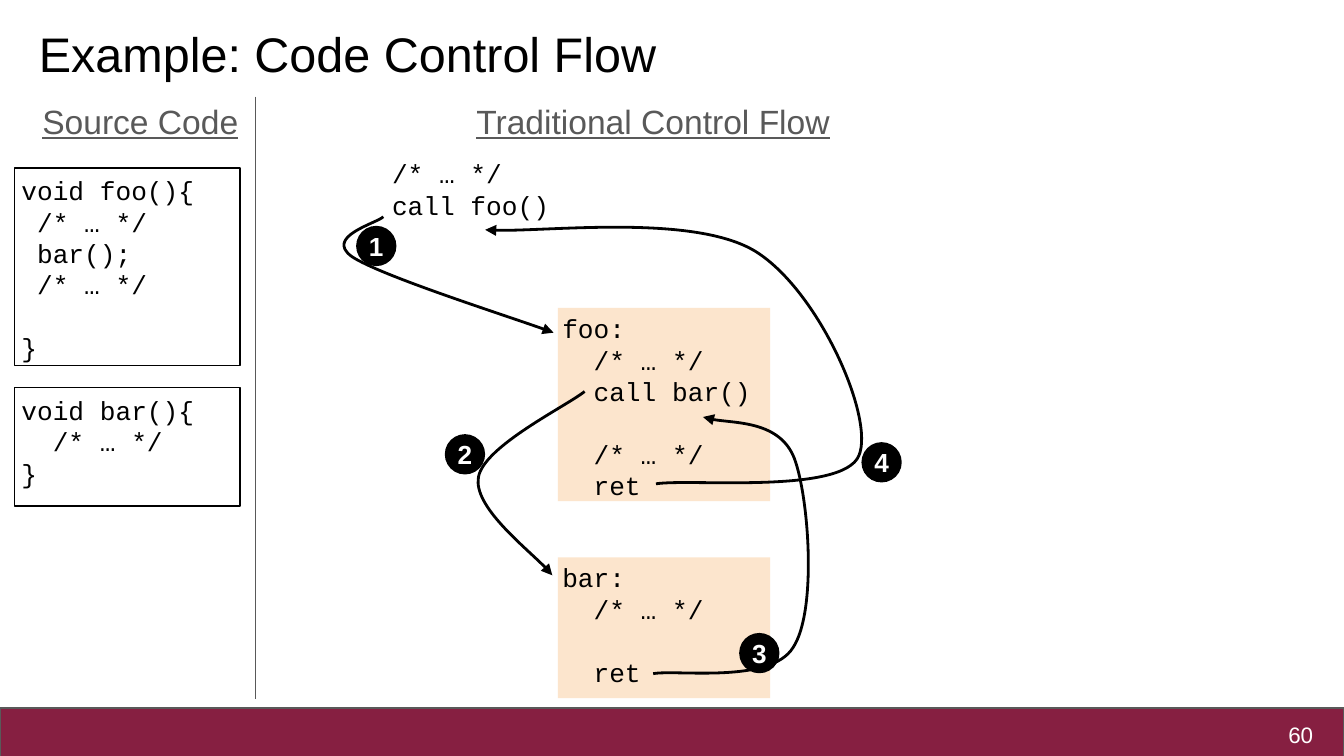
from dataclasses import dataclass

import pptx
import pptx.dml.color
import pptx.enum.shapes
import pptx.enum.text
import pptx.oxml
import pptx.oxml.ns
import pptx.util

Pt = pptx.util.Pt
Align = pptx.enum.text.PP_ALIGN
Anchor = pptx.enum.text.MSO_ANCHOR
Kind = pptx.enum.shapes.MSO_SHAPE

BLACK, WHITE, GRAY = "000000", "FFFFFF", "595959"
MAROON, PEACH = "861F41", "FCE5CD"
BADGE_SIZE = 21.6


@dataclass
class CodeBlock:
    left: float
    top: float
    width: float
    height: float
    code: str
    fill: str | None = None
    line: str | None = None
    inset: float = 2.4


@dataclass
class Heading:
    left: float
    width: float
    text: str


@dataclass
class Step:
    badge: tuple[float, float]
    start: tuple[float, float]
    curves: list[tuple[tuple[float, float], ...]]


HEADINGS = [
    Heading(7.9, 133.9, "Source Code"),
    Heading(202.3, 294.5, "Traditional Control Flow"),
]

CODE_BLOCKS = [
    CodeBlock(298.8, 165, 113.8, 103.5,
              "foo:\n  /* … */\n  call bar()\n  \n  /* … */\n  ret", fill=PEACH),
    CodeBlock(298.8, 298.6, 113.8, 75.4,
              "bar:\n  /* … */\n\n  ret", fill=PEACH),
    CodeBlock(190.8, 82.1, 113.8, 38.9,
              "  /* … */\n  call foo()", fill=WHITE),
    CodeBlock(7.9, 90, 120.7, 105.8,
              "void foo(){\n /* … */\n bar();\n /* … */\n\n}", line=BLACK, inset=3.6),
    CodeBlock(7.9, 207.6, 120.7, 63.4,
              "void bar(){\n  /* … */\n}", line=BLACK, inset=3.6),
]

STEPS = [
    Step((190.8, 121), (205.4, 116.1), [
        ((202.3, 119.5), (173.5, 126.7), (188.6, 137.5)),
        ((203.8, 147.6), (278.6, 171.4), (296.6, 178.2))]),
    Step((238.3, 232.6), (313.2, 209.7), [
        ((303.8, 217.4), (259.2, 239), (256.3, 255.6)),
        ((253.4, 271.4), (289.4, 299.5), (295.9, 308.2))]),
    Step((396, 339.1), (349.9, 360.9), [
        ((362.2, 358.6), (412.6, 366.5), (424.8, 347)),
        ((437.8, 327.6), (433.4, 266.4), (425.5, 245.5)),
        ((417.6, 225.4), (384.5, 226.8), (376.6, 223.4))]),
    Step((461.5, 236.9), (351.4, 259.2), [
        ((369.4, 256.3), (451.4, 265), (460.1, 244.1)),
        ((468.7, 223.9), (438.5, 155.5), (404.6, 134.6)),
        ((371.5, 114.5), (283.7, 125.3), (259.9, 123.1))]),
]


def color(value: str) -> pptx.dml.color.RGBColor:
    return pptx.dml.color.RGBColor.from_string(value)


def write_text(shape, text: str, *, font="Arial", size=14.0, ink=BLACK, bold=False,
               underline=False, align=Align.LEFT, anchor=Anchor.TOP,
               inset=(7.2, 7.2, 7.2, 7.2)) -> None:
    frame = shape.text_frame
    frame.word_wrap = True
    frame.vertical_anchor = anchor
    (frame.margin_left, frame.margin_top,
     frame.margin_right, frame.margin_bottom) = map(Pt, inset)
    frame.text = text
    for para in frame.paragraphs:
        para.alignment = align
        para.line_spacing = 1.0
        para.font.size = Pt(size)
        for span in para.runs:
            span.font.name = font
            span.font.size = Pt(size)
            span.font.bold = bold
            span.font.underline = underline
            span.font.color.rgb = color(ink)


def add_text_box(page, left: float, top: float, width: float, height: float,
                 text: str, **style) -> None:
    box = page.shapes.add_textbox(Pt(left), Pt(top), Pt(width), Pt(height))
    write_text(box, text, **style)


def add_box(page, kind, left: float, top: float, width: float, height: float,
            fill: str | None = None, line: str | None = None):
    box = page.shapes.add_shape(kind, Pt(left), Pt(top), Pt(width), Pt(height))
    box.shadow.inherit = False
    if fill:
        box.fill.solid()
        box.fill.fore_color.rgb = color(fill)
    else:
        box.fill.background()
    if line:
        box.line.color.rgb = color(line)
        box.line.width = Pt(0.75)
    else:
        box.line.fill.background()
    return box


def add_code(page, block: CodeBlock) -> None:
    box = add_box(page, Kind.RECTANGLE, block.left, block.top, block.width,
                  block.height, block.fill, block.line)
    write_text(box, block.code, font="Courier New",
               inset=(block.inset, block.inset, 0, block.inset))


def add_curved_arrow(page, step: Step) -> None:
    builder = page.shapes.build_freeform(Pt(step.start[0]), Pt(step.start[1]))
    builder.add_line_segments([(Pt(x), Pt(y)) for *_, (x, y) in step.curves], close=False)
    arrow = builder.convert_to_shape()
    arrow.shadow.inherit = False
    arrow.fill.background()
    arrow.line.color.rgb = color(BLACK)
    arrow.line.width = Pt(1.5)
    qn = pptx.oxml.ns.qn
    segments = list(arrow._element.iter(qn("a:lnTo")))
    for segment, curve in zip(segments, step.curves):
        segment.tag = qn("a:cubicBezTo")
        for child in list(segment):
            segment.remove(child)
        for x, y in curve:
            point = segment.makeelement(qn("a:pt"), {
                "x": str(Pt(x) - arrow.left), "y": str(Pt(y) - arrow.top)})
            segment.append(point)
    outline = arrow.line._get_or_add_ln()
    outline.append(outline.makeelement(qn("a:tailEnd"), {"type": "triangle"}))


def add_badge(page, number: int, step: Step) -> None:
    badge = add_box(page, Kind.OVAL, *step.badge, BADGE_SIZE, BADGE_SIZE, BLACK)
    write_text(badge, str(number), ink=WHITE, bold=True, align=Align.CENTER,
               anchor=Anchor.MIDDLE, inset=(0, 0, 0, 0))


def add_divider(page) -> None:
    divider = page.shapes.add_connector(
        pptx.enum.shapes.MSO_CONNECTOR.STRAIGHT, Pt(136.8), Pt(51.8), Pt(136.8), Pt(374.4))
    divider.line.color.rgb = color(GRAY)
    divider.line.width = Pt(0.75)
    divider._element.spPr.append(pptx.oxml.parse_xml(
        f'<a:effectLst {pptx.oxml.ns.nsdecls("a")}/>'))


def main() -> None:
    deck = pptx.Presentation()
    deck.slide_width, deck.slide_height = Pt(720), Pt(405)
    page = deck.slides.add_slide(deck.slide_layouts[6])

    add_box(page, Kind.RECTANGLE, 0, 379.4, 720, 26.6, MAROON, GRAY)
    add_text_box(page, 13.7, 5.8, 690.5, 45.4, "Example: Code Control Flow", size=26)
    add_text_box(page, 667.4, 380.2, 43.2, 26.6, "60", size=12, ink=WHITE,
                 align=Align.RIGHT, anchor=Anchor.MIDDLE)
    for heading in HEADINGS:
        add_text_box(page, heading.left, 51.8, heading.width, 33.8, heading.text,
                     size=18, ink=GRAY, underline=True, align=Align.CENTER,
                     inset=(2.9, 2.2, 2.2, 2.2))
    for block in CODE_BLOCKS:
        add_code(page, block)
    for number, step in enumerate(STEPS, 1):
        add_curved_arrow(page, step)
        add_badge(page, number, step)
    add_divider(page)
    deck.save("out.pptx")


if __name__ == "__main__":
    main()
